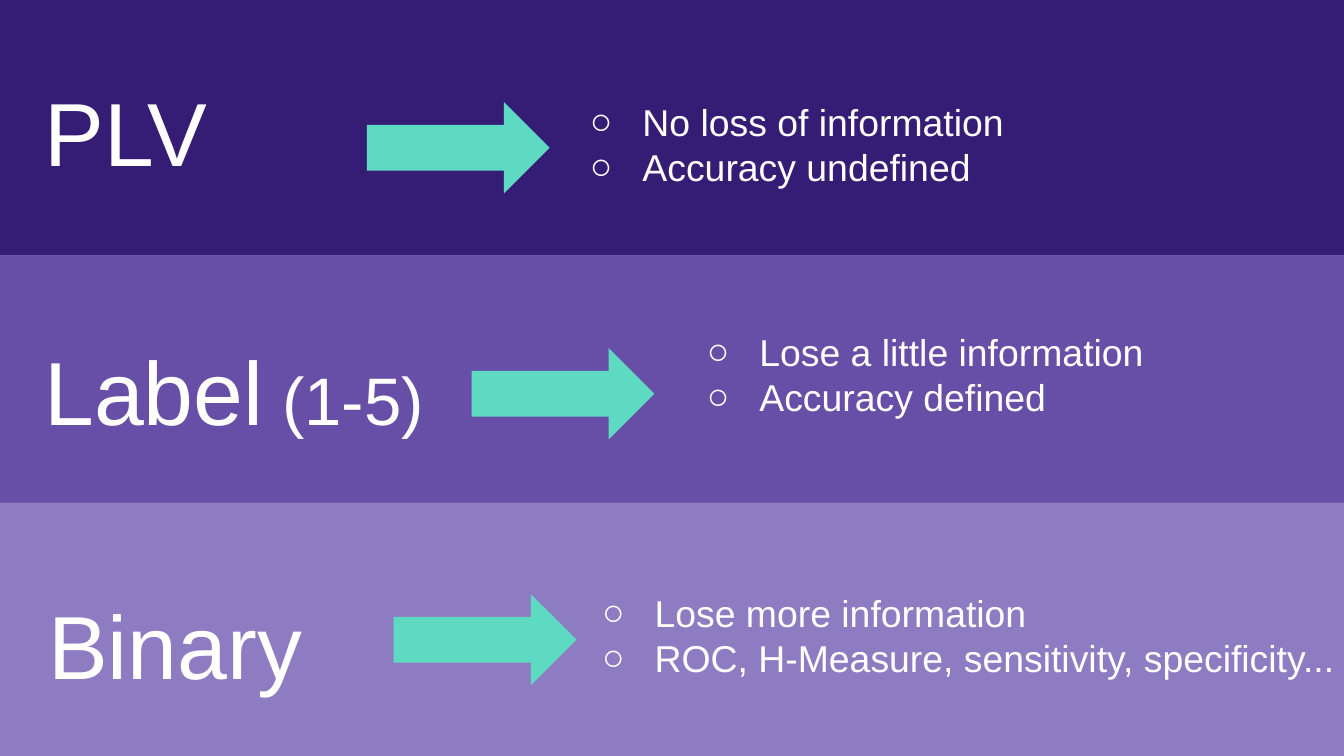
import pptx
import pptx.dml.color
import pptx.enum.shapes
import pptx.enum.text
import pptx.oxml
import pptx.oxml.ns
import pptx.util

WIDTH = 10
HEIGHT = WIDTH * 9 / 16
WHITE, TEAL = "FFFFFF", "5FDAC2"
BAND_HEIGHT = 0.34 * HEIGHT
SHAPE = pptx.enum.shapes.MSO_SHAPE

BANDS = [
    dict(top=-0.01, color="351C75", label=[("PLV", 48)], label_box=(0.23, 0.47, 1.96, 0.94),
         arrow=(2.73, 0.76), list_box=(4.18, 0.64, 5.45, 0.94),
         items=["No loss of information", "Accuracy undefined"]),
    dict(top=1.9, color="674EA7", label=[("Label", 48), (" (1-5)", 36)],
         label_box=(0.23, 2.4, 6.8, 0.94),
         arrow=(3.51, 2.59), list_box=(5.05, 2.35, 3.72, 0.94),
         items=["Lose a little information", "Accuracy defined"]),
    dict(top=3.74, color="8E7CC3", label=[("Binary", 48)], label_box=(0.26, 4.29, 2.7, 0.94),
         arrow=(2.93, 4.42), list_box=(4.27, 4.29, 5.84, 0.94),
         items=["Lose more information", "ROC, H-Measure, sensitivity, specificity..."]),
]


def rgb(color):
    """Turn a hex string into a colour."""
    return pptx.dml.color.RGBColor.from_string(color)


def add_block(slide, shape, box, color):
    """Add a flat, unlined preset shape."""
    sp = slide.shapes.add_shape(shape, *map(pptx.util.Inches, box))
    sp.shadow.inherit = False
    sp.fill.solid()
    sp.fill.fore_color.rgb = rgb(color)
    sp.line.fill.background()


def place_text(slide, sp, box):
    """Bring a text shape to the front of its box and return its frame."""
    slide.shapes.element.append(sp.element)
    sp.left, sp.top, sp.width, sp.height = map(pptx.util.Inches, box)
    tf = sp.text_frame
    tf.word_wrap = True
    tf.auto_size = pptx.enum.text.MSO_AUTO_SIZE.NONE
    tf.vertical_anchor = pptx.enum.text.MSO_ANCHOR.TOP
    tf.margin_left = tf.margin_right = pptx.util.Inches(0.1)
    tf.margin_top = tf.margin_bottom = pptx.util.Inches(0.1)
    return tf


def add_run(p, text, size):
    """Add a white run to a left-aligned paragraph."""
    p.alignment = pptx.enum.text.PP_ALIGN.LEFT
    p.space_before = p.space_after = pptx.util.Pt(0)
    r = p.add_run()
    r.text = text
    r.font.name = "Arial"
    r.font.size = pptx.util.Pt(size)
    r.font.bold = False
    r.font.color.rgb = rgb(WHITE)


def add_bullet(p):
    """Give a paragraph a hanging white circle bullet."""
    pPr = p._p.get_or_add_pPr()
    pPr.set("marL", str(pptx.util.Inches(0.5)))
    pPr.set("indent", str(pptx.util.Inches(-0.39)))
    ns = pptx.oxml.ns.nsdecls("a")
    for xml in (f'<a:buClr {ns}><a:srgbClr val="{WHITE}"/></a:buClr>',
                f'<a:buFont {ns} typeface="Arial"/>',
                f'<a:buChar {ns} char="○"/>'):
        pPr.append(pptx.oxml.parse_xml(xml))


def add_band(slide, band, label_sp, list_sp):
    """Build one band with its label, arrow and list."""
    add_block(slide, SHAPE.RECTANGLE, (0, band["top"], WIDTH, BAND_HEIGHT), band["color"])
    tf = place_text(slide, label_sp, band["label_box"])
    for text, size in band["label"]:
        add_run(tf.paragraphs[0], text, size)
    add_block(slide, SHAPE.RIGHT_ARROW, (*band["arrow"], 1.36, 0.68), TEAL)
    tf = place_text(slide, list_sp, band["list_box"])
    for i, item in enumerate(band["items"]):
        p = tf.add_paragraph() if i else tf.paragraphs[0]
        add_bullet(p)
        add_run(p, item, 20)


def main():
    """Build and save the slide."""
    prs = pptx.Presentation()
    prs.slide_width = pptx.util.Inches(WIDTH)
    prs.slide_height = pptx.util.Inches(HEIGHT)
    slide = prs.slides.add_slide(prs.slide_layouts.get_by_name("Comparison"))
    holders = {sp.placeholder_format.idx: sp for sp in slide.placeholders}
    labels = [holders[0], holders[3], slide.shapes.add_textbox(0, 0, 0, 0)]
    lists = [holders[2], holders[4], holders[1]]
    for band, label_sp, list_sp in zip(BANDS, labels, lists):
        add_band(slide, band, label_sp, list_sp)
    prs.save("out.pptx")


if __name__ == "__main__":
    main()
